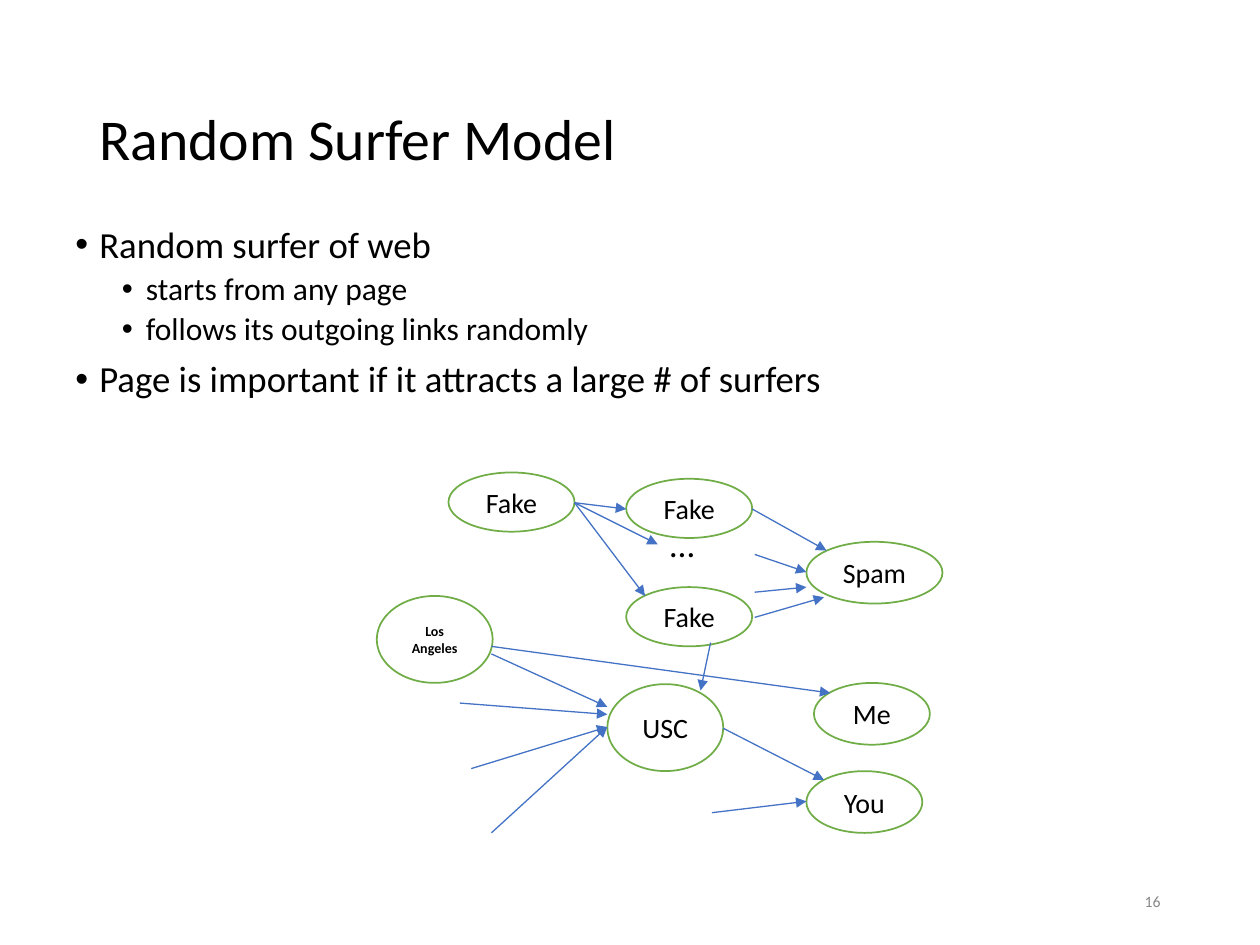
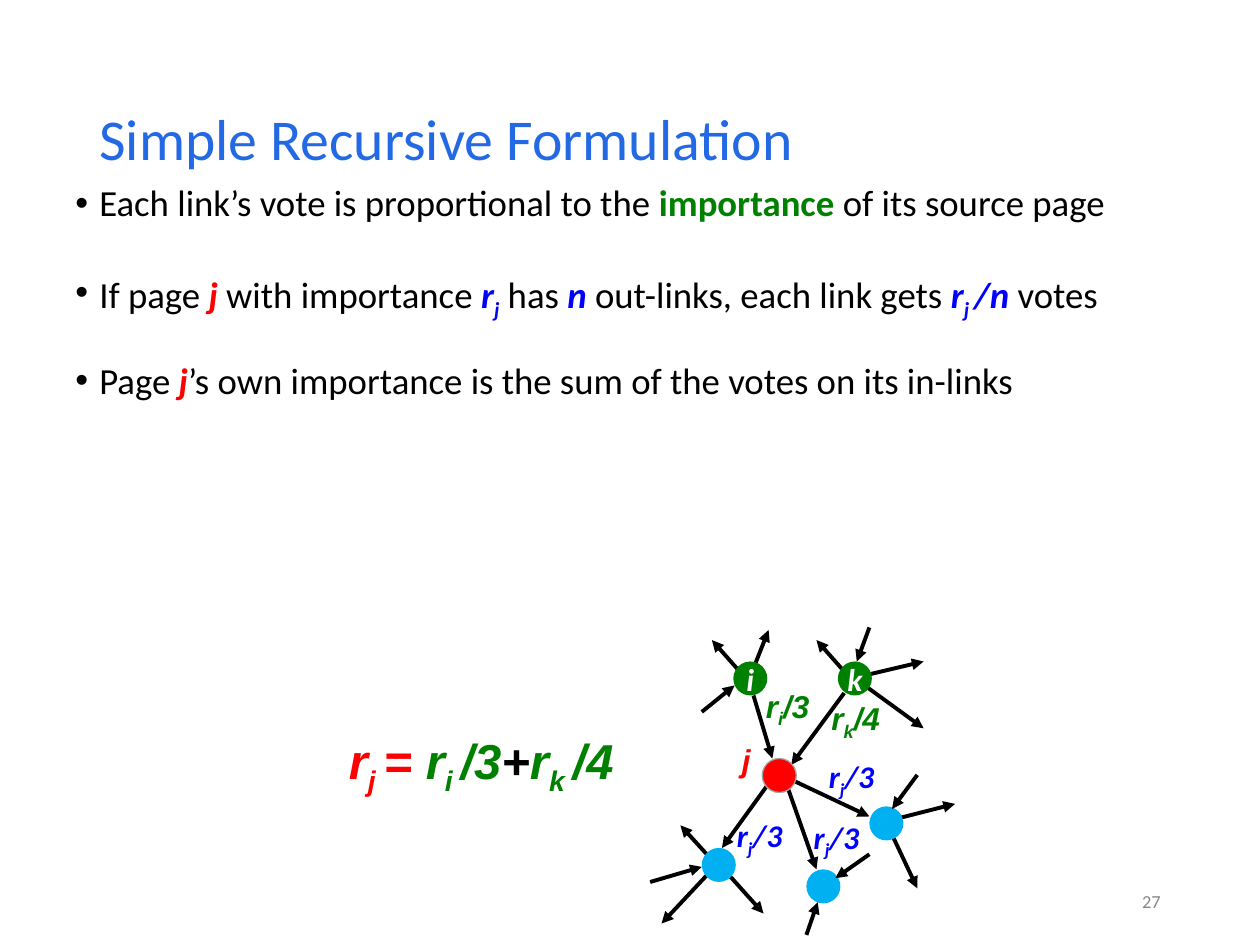
from dataclasses import dataclass
from typing import NamedTuple

from lxml.etree import SubElement
from pptx import Presentation
from pptx.dml.color import RGBColor
from pptx.enum.shapes import MSO_CONNECTOR as Connector, MSO_SHAPE as Shape
from pptx.enum.text import MSO_ANCHOR as Anchor, PP_ALIGN as Align
from pptx.oxml.ns import qn
from pptx.util import Pt

PX = 9144  # one hundred px to the inch
DOT_SIZE = 27


@dataclass(frozen=True)
class Theme:
    face: str = "Calibri"
    formula_face: str = "Arial"
    black: str = "000000"
    white: str = "FFFFFF"
    grey: str = "888888"
    title_blue: str = "2469E4"
    green: str = "008000"
    red: str = "FF0000"
    blue: str = "0000FF"
    sky: str = "00B0F0"
    node_line: str = "70AD47"
    link_line: str = "4472C4"
    dot_line: str = "A5A5A5"
    title: float = 33
    body: float = 21
    sub_body: float = 18
    node: float = 16
    small_node: float = 8
    ellipsis: float = 20
    label: float = 18
    formula: float = 28


THEME = Theme()


class Box(NamedTuple):
    left: int
    top: int
    width: int
    height: int


class Span(NamedTuple):
    text: str
    color: str = THEME.black
    bold: bool = False
    italic: bool = False
    subscript: bool = False


class Bullet(NamedTuple):
    spans: list[Span]
    level: int = 0
    space_before: float = 0


class Node(NamedTuple):
    text: str
    box: Box
    size: float = THEME.node
    bold: bool = False


class Dot(NamedTuple):
    left: int
    top: int
    color: str
    text: str = ""


class Link(NamedTuple):
    """A straight arrow that points at (x2, y2)."""
    x1: int
    y1: int
    x2: int
    y2: int


class Label(NamedTuple):
    box: Box
    spans: list[Span]
    size: float = THEME.label
    face: str = THEME.face


TITLE_BOX = Box(69, 40, 862, 145)
NUMBER_BOX = Box(706, 695, 225, 40)


def emu(*lengths: int) -> list[int]:
    return [length * PX for length in lengths]


def math(text: str, color: str, subscript: bool = False) -> Span:
    return Span(text, color, bold=True, italic=True, subscript=subscript)


def rank(index: str, color: str, divisor: str = "") -> list[Span]:
    """The term r with its index, and what it is divided by."""
    spans = [math("r", color), math(index, color, subscript=True)]
    return spans + [math(divisor, color)] if divisor else spans


def write(para, spans: list[Span], size: float, face: str = THEME.face) -> None:
    for span in spans:
        run = para.add_run()
        run.text = span.text
        font = run.font
        font.name, font.size = face, Pt(size)
        font.bold, font.italic = span.bold, span.italic
        font.color.rgb = RGBColor.from_string(span.color)
        if span.subscript:
            run._r.get_or_add_rPr().set("baseline", "-25000")


def add_text(page, box: Box, spans: list[Span], size: float, face: str = THEME.face,
             align: Align = Align.LEFT, anchor: Anchor = Anchor.TOP):
    frame = page.shapes.add_textbox(*emu(*box)).text_frame
    frame.word_wrap = True
    frame.vertical_anchor = anchor
    para = frame.paragraphs[0]
    para.alignment = align
    write(para, spans, size, face)
    return para


def add_page(deck, title: str, color: str, number: str, number_size: float):
    page = deck.slides.add_slide(deck.slide_layouts[6])
    para = add_text(page, TITLE_BOX, [Span(title, color)], THEME.title,
                    anchor=Anchor.MIDDLE)
    para.line_spacing = 0.9
    add_text(page, NUMBER_BOX, [Span(number, THEME.grey)], number_size,
             align=Align.RIGHT, anchor=Anchor.MIDDLE)
    return page


def add_bullets(page, box: Box, bullets: list[Bullet]) -> None:
    frame = page.shapes.add_textbox(*emu(*box)).text_frame
    frame.word_wrap = True
    for index, bullet in enumerate(bullets):
        para = frame.add_paragraph() if index else frame.paragraphs[0]
        para.level = bullet.level
        para.line_spacing = 0.9
        para.space_before = Pt(bullet.space_before)
        props = para._p.get_or_add_pPr()
        props.set("marL", str((56 if bullet.level else 19) * PX))
        props.set("indent", str(-19 * PX))
        SubElement(props, qn("a:buFont"), typeface=THEME.formula_face)
        SubElement(props, qn("a:buChar"), char="•")
        write(para, bullet.spans, THEME.sub_body if bullet.level else THEME.body)


def add_oval(page, box: Box, fill: str, line: str = "", line_width: float = 1):
    oval = page.shapes.add_shape(Shape.OVAL, *emu(*box))
    oval.shadow.inherit = False
    oval.fill.solid()
    oval.fill.fore_color.rgb = RGBColor.from_string(fill)
    if line:
        oval.line.color.rgb = RGBColor.from_string(line)
        oval.line.width = Pt(line_width)
    else:
        oval.line.fill.background()
    frame = oval.text_frame
    frame.word_wrap = True
    frame.vertical_anchor = Anchor.MIDDLE
    frame.paragraphs[0].alignment = Align.CENTER
    return frame


def add_node(page, node: Node) -> None:
    frame = add_oval(page, node.box, THEME.white, THEME.node_line)
    write(frame.paragraphs[0], [Span(node.text, bold=node.bold)], node.size)


def add_dot(page, dot: Dot) -> None:
    outline = THEME.dot_line if dot.color == THEME.red else ""
    box = Box(dot.left, dot.top, DOT_SIZE, DOT_SIZE)
    frame = add_oval(page, box, dot.color, outline, 0.75)
    frame.margin_left = frame.margin_right = 0
    if dot.text:
        write(frame.paragraphs[0], [math(dot.text, THEME.white)], THEME.label)


def add_links(page, links: list[Link], color: str, width: float) -> None:
    for link in links:
        arrow = page.shapes.add_connector(Connector.STRAIGHT, *emu(*link))
        arrow.line.color.rgb = RGBColor.from_string(color)
        arrow.line.width = Pt(width)
        SubElement(arrow.line._get_or_add_ln(), qn("a:tailEnd"), type="triangle")
        SubElement(arrow._element.spPr, qn("a:effectLst"))


def build_surfer_page(deck) -> None:
    page = add_page(deck, "Random Surfer Model", THEME.black, "16", 9)
    add_bullets(page, Box(50, 175, 917, 495), [
        Bullet([Span("Random surfer of web")]),
        Bullet([Span("starts from any page")], 1, 3.8),
        Bullet([Span("follows its outgoing links randomly")], 1, 3.8),
        Bullet([Span("Page is important if it attracts a large # of surfers")], 0, 7.5),
    ])
    nodes = [
        Node("You", Box(640, 612, 92, 49)),
        Node("USC", Box(482, 543, 92, 69)),
        Node("Los Angeles", Box(299, 473, 92, 69), THEME.small_node, True),
        Node("Spam", Box(640, 430, 108, 49)),
        Node("Me", Box(646, 542, 92, 49)),
    ]
    nodes += [Node("Fake", Box(left, top, 100, 47))
              for left, top in ((497, 380), (497, 466), (356, 375))]
    for node in nodes:
        add_node(page, node)
    add_text(page, Box(522, 410, 43, 44), [Span("…")], THEME.ellipsis)

    from_first_fake = [Link(456, 399, x, y) for x, y in ((497, 404), (512, 473), (522, 432))]
    to_spam = [Link(597, 404, 656, 437), Link(599, 440, 640, 454),
               Link(599, 490, 654, 474), Link(599, 470, 640, 466)]
    to_usc = [Link(365, 558, 482, 567), Link(374, 610, 482, 577), Link(390, 661, 482, 577),
              Link(390, 519, 482, 561), Link(564, 510, 556, 548)]
    to_people = [Link(574, 578, 654, 619), Link(565, 645, 640, 636), Link(390, 513, 659, 550)]
    add_links(page, from_first_fake + to_spam + to_usc + to_people, THEME.link_line, 0.75)


def build_formula_page(deck) -> None:
    page = add_page(deck, "Simple Recursive Formulation", THEME.title_blue, "27", 10.5)
    page_j = math("j", THEME.red)
    add_bullets(page, Box(50, 142, 900, 417), [
        Bullet([Span("Each link’s vote is proportional to the "),
                Span("importance ", THEME.green, bold=True),
                Span("of its source page")]),
        Bullet([Span("If page "), page_j, Span(" with importance "),
                *rank("j", THEME.blue), Span(" has "), math("n", THEME.blue),
                Span(" out-links, each link gets "),
                *rank("j ", THEME.blue, "/n"), Span(" votes")], 0, 27),
        Bullet([Span("Page "), page_j,
                Span("’s own importance is the sum of the votes on its in-links")], 0, 26),
    ])

    votes = [Link(615, 615, 573, 673), Link(620, 615, 690, 648), Link(622, 616, 648, 690),
             Link(598, 552, 613, 602), Link(670, 550, 628, 607)]
    outgoing = [
        Link(678, 538, 733, 578), Link(678, 538, 733, 525), Link(678, 542, 648, 508),
        Link(595, 538, 610, 500), Link(595, 542, 565, 508),
        Link(703, 652, 728, 705), Link(703, 652, 758, 638),
        Link(570, 685, 525, 733), Link(570, 685, 606, 725), Link(570, 688, 540, 655),
    ]
    incoming = [Link(728, 615, 708, 642), Link(690, 498, 680, 525), Link(690, 678, 663, 697),
                Link(516, 700, 557, 688), Link(640, 742, 649, 716), Link(557, 565, 583, 544)]
    dots = [Dot(605, 602, THEME.red),
            Dot(665, 525, THEME.green, "k"), Dot(582, 525, THEME.green, "i"),
            Dot(557, 673, THEME.sky), Dot(690, 640, THEME.sky), Dot(640, 690, THEME.sky)]
    add_links(page, votes + outgoing, THEME.black, 2.25)
    for dot in dots:
        add_dot(page, dot)
    add_links(page, incoming, THEME.black, 2.25)

    formula = [*rank("j ", THEME.red), math("= ", THEME.red),
               *rank("i ", THEME.green, "/3"), math("+", THEME.black),
               *rank("k ", THEME.green, "/4")]
    labels = [Label(Box(left, top, 73, 40), rank("j", THEME.blue, "/3"))
              for left, top in ((648, 596), (636, 644), (575, 643))]
    labels += [
        Label(Box(579, 583, 35, 40), [page_j], face=THEME.formula_face),
        Label(Box(267, 575, 250, 57), formula, THEME.formula, THEME.formula_face),
        Label(Box(598, 540, 63, 40), rank("i", THEME.green, "/3"), face=THEME.formula_face),
        Label(Box(650, 550, 67, 40), rank("k", THEME.green, "/4"), face=THEME.formula_face),
    ]
    for label in labels:
        add_text(page, *label)


def main() -> None:
    deck = Presentation()
    deck.slide_width, deck.slide_height = emu(1000, 750)
    build_surfer_page(deck)
    build_formula_page(deck)
    deck.save("out.pptx")


if __name__ == "__main__":
    main()
